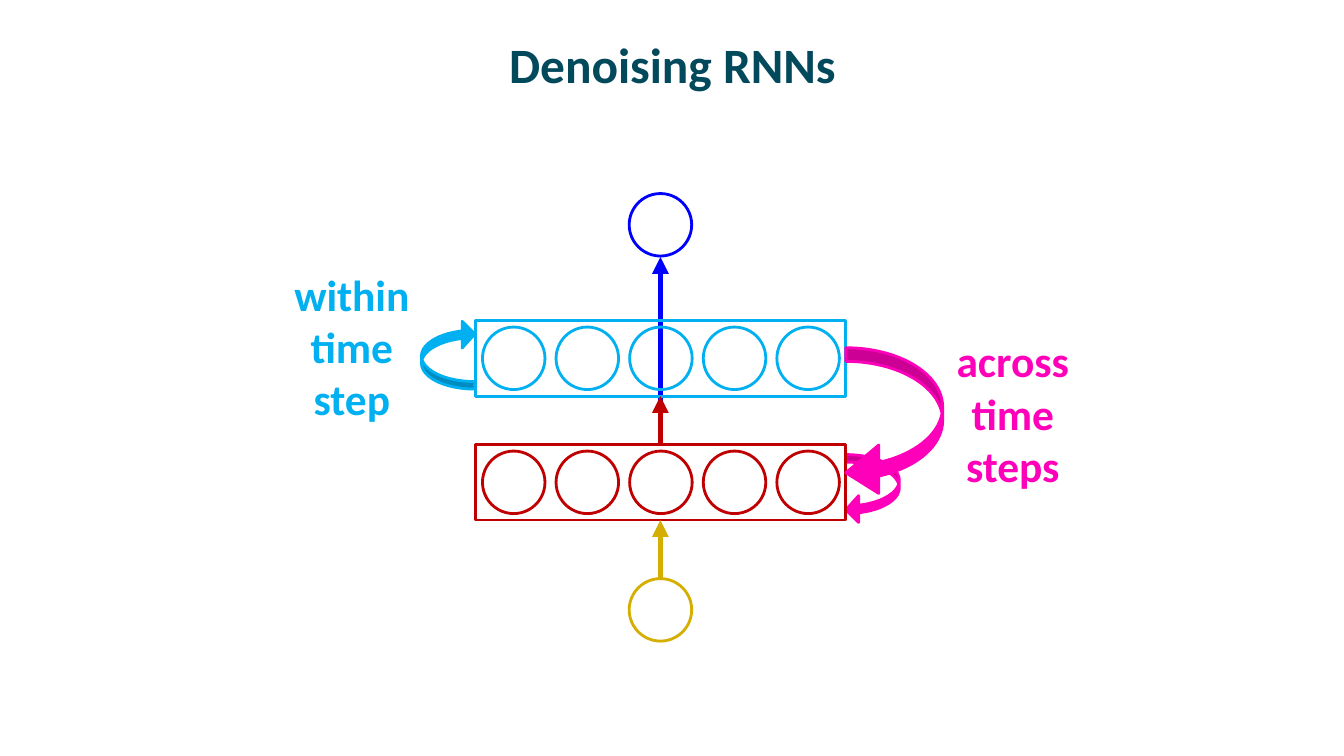
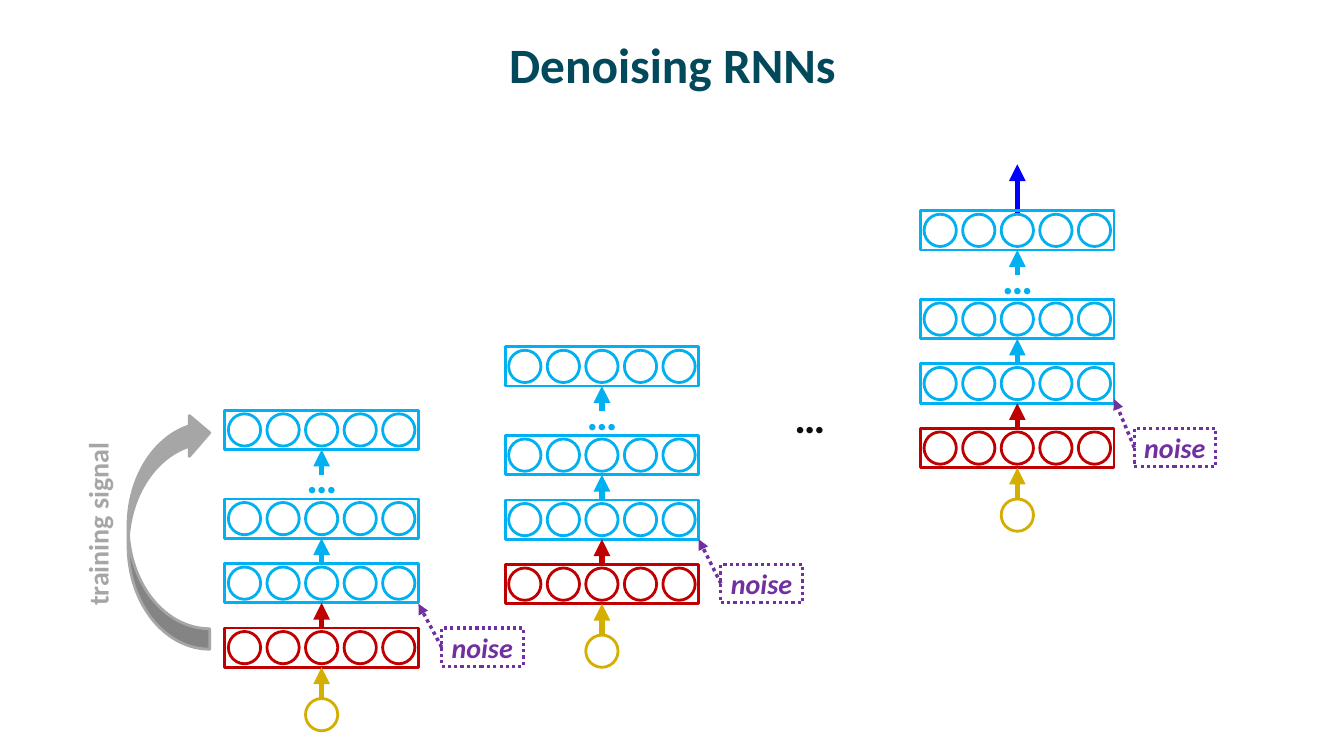
from dataclasses import dataclass

from lxml import etree
from pptx import Presentation
from pptx.dml.color import RGBColor
from pptx.enum.dml import MSO_LINE
from pptx.enum.shapes import MSO_CONNECTOR, MSO_SHAPE
from pptx.enum.text import MSO_ANCHOR, PP_ALIGN
from pptx.oxml.ns import qn
from pptx.util import Inches, Pt

RECT, OVAL = MSO_SHAPE.RECTANGLE, MSO_SHAPE.OVAL
LEFT_CURVE, RIGHT_CURVE = MSO_SHAPE.CURVED_LEFT_ARROW, MSO_SHAPE.CURVED_RIGHT_ARROW
STRAIGHT, DOTTED = MSO_CONNECTOR.STRAIGHT, MSO_LINE.ROUND_DOT
LEFT, CENTER = PP_ALIGN.LEFT, PP_ALIGN.CENTER
TOP, MIDDLE = MSO_ANCHOR.TOP, MSO_ANCHOR.MIDDLE


@dataclass(frozen=True)
class Theme:
    font: str = "Calibri"
    title: str = "03495C"
    output: str = "0000FF"
    hidden: str = "00B0F0"
    first: str = "C00000"
    source: str = "D4AE00"
    across: str = "FF00BA"
    noise: str = "7030A0"
    signal: str = "A6A6A6"
    dark: str = "0D0D0D"
    title_size: float = 35.3
    label_size: float = 31
    small_size: float = 20
    outline: float = 2
    arrow: float = 4


class Sketch:
    """Draws network diagrams on the current page in one style."""

    def __init__(self, theme):
        self.theme = theme
        self.deck = Presentation()
        self.deck.slide_width, self.deck.slide_height = Inches(13.33), Inches(7.5)
        self.page = None

    def new_page(self, title):
        self.page = self.deck.slides.add_slide(self.deck.slide_layouts[6])
        self.text([title], 0.67, 0.17, 12, 0.92, self.theme.title,
                  self.theme.title_size, anchor=MIDDLE, wrap=True)

    def fill_text(self, box, lines, color, size, align, anchor=TOP,
                  wrap=False, italic=None, margins=(0.1, 0.05)):
        frame = box.text_frame
        frame.word_wrap, frame.vertical_anchor = wrap, anchor
        frame.margin_left = frame.margin_right = Inches(margins[0])
        frame.margin_top = frame.margin_bottom = Inches(margins[1])
        for index, line in enumerate(lines):
            para = frame.paragraphs[0] if index == 0 else frame.add_paragraph()
            para.text, para.alignment = line, align
            font = para.font
            font.name, font.size = self.theme.font, Pt(size)
            font.bold, font.italic = True, italic
            font.color.rgb = RGBColor.from_string(color)

    def text(self, lines, left, top, width, height, color, size,
             align=CENTER, rotation=0, **options):
        box = self.page.shapes.add_textbox(
            Inches(left), Inches(top), Inches(width), Inches(height))
        box.rotation = rotation
        self.fill_text(box, lines, color, size, align, **options)

    def shape(self, kind, left, top, width, height, color, filled=False):
        shape = self.page.shapes.add_shape(
            kind, Inches(left), Inches(top), Inches(width), Inches(height))
        shape.shadow.inherit = False
        if filled:
            shape.fill.solid()
            shape.fill.fore_color.rgb = RGBColor.from_string(color)
        else:
            shape.fill.background()
        shape.line.color.rgb = RGBColor.from_string(color)
        shape.line.width = Pt(self.theme.outline)
        return shape

    def circle(self, left, top, diameter, color):
        self.shape(OVAL, left, top, diameter, diameter, color)

    def layer(self, left, top, width, height, diameter, color, units=5):
        pad = (height - diameter) / 2
        pitch = (width - 2 * pad - diameter) / (units - 1)
        for unit in range(units):
            self.circle(left + pad + unit * pitch, top + pad, diameter, color)
        self.shape(RECT, left, top, width, height, color)

    def curve(self, kind, left, top, width, height, color,
              adjustments=(), rotation=0, mirrored=False):
        shape = self.shape(kind, left, top, width, height, color, filled=True)
        for index, value in enumerate(adjustments):
            shape.adjustments[index] = value
        shape.rotation = rotation
        if mirrored:
            shape.element.spPr.find(qn("a:xfrm")).set("flipH", "1")

    def arrow(self, x1, y1, x2, y2, color, weight=None, dash=None):
        connector = self.page.shapes.add_connector(
            STRAIGHT, Inches(x1), Inches(y1), Inches(x2), Inches(y2))
        connector.line.color.rgb = RGBColor.from_string(color)
        connector.line.width = Pt(weight or self.theme.arrow)
        if dash:
            connector.line.dash_style = dash
        properties = connector.element.spPr
        etree.SubElement(properties.find(qn("a:ln")), qn("a:tailEnd"), type="triangle")
        etree.SubElement(properties, qn("a:effectLst"))

    def stack(self, left, top):
        """One unrolled time step; top is the top of its lowest layer."""
        theme, axis = self.theme, left + 0.96
        height, diameter = 0.39, 0.32
        self.circle(axis - diameter / 2, top + 0.7, diameter, theme.source)
        for rise, color in ((0, theme.first), (0.64, theme.hidden),
                            (1.28, theme.hidden), (2.16, theme.hidden)):
            self.layer(left, top - rise, 1.92, height, diameter, color)
        for start, end, color in ((0.7, 0.39, theme.source), (0, -0.25, theme.first),
                                  (-0.64, -0.89, theme.hidden),
                                  (-1.52, -1.77, theme.hidden)):
            self.arrow(axis, top + start, axis, top + end, color)
        self.dots(left + 0.71, top - 1.81, theme.hidden)

    def dots(self, left, top, color):
        self.text(["…"], left, top, 0.51, 0.62, color, self.theme.label_size, LEFT)

    def noise(self, left, top, tip_x, tip_y):
        color = self.theme.noise
        box = self.shape(RECT, left, top, 0.81, 0.38, color)
        box.line.width, box.line.dash_style = Pt(2.25), DOTTED
        self.fill_text(box, ["noise"], color, self.theme.small_size, LEFT,
                       italic=True, margins=(0.1, 0.02))
        self.arrow(left, top + 0.19, tip_x, tip_y, color, 2.5, DOTTED)


theme = Theme()
sketch = Sketch(theme)

# Page 1: recurrent network with noise within and across time steps
sketch.new_page("Denoising RNNs")
axis, diameter = 6.55, 0.62
small_curve = (0.141, 0.5, 0.238)
sketch.arrow(axis, 4.41, axis, 2.55, theme.output)
sketch.curve(LEFT_CURVE, 8.39, 4.51, 0.53, 0.68, theme.across, small_curve)
for top, color in ((5.74, theme.source), (1.92, theme.output)):
    sketch.circle(axis - diameter / 2, top, diameter, color)
for top, color in ((4.41, theme.first), (3.18, theme.hidden)):
    sketch.layer(4.72, top, 3.67, 0.75, diameter, color)
sketch.arrow(axis, 5.74, axis, 5.16, theme.source)
sketch.curve(LEFT_CURVE, 8.39, 3.45, 0.96, 1.48, theme.across, (0.141, 0.5, 0.339))
sketch.curve(LEFT_CURVE, 4.18, 3.18, 0.53, 0.68, theme.hidden, small_curve, rotation=180)
sketch.text(["within", "time", "step"], 2.81, 2.61, 1.36, 1.67,
            theme.hidden, theme.label_size)
sketch.text(["across", "time", "steps"], 9.38, 3.27, 1.33, 1.67,
            theme.across, theme.label_size)
sketch.arrow(axis, 4.41, axis, 3.93, theme.first)

# Page 2: network unrolled over time, with noise at each step
sketch.new_page("Denoising RNNs")
sketch.arrow(10.09, 2.11, 10.09, 1.63, theme.output)
steps = ((2.23, 6.23, 4.38, 5.99), (5.01, 5.6, 7.15, 5.35), (9.13, 4.25, 11.25, 3.96))
for left, top, noise_left, tip_y in steps:
    sketch.stack(left, top)
    sketch.noise(noise_left, top, left + 1.92, tip_y)
sketch.dots(7.78, 3.82, theme.dark)

# Training signal from the lowest layer to the highest
sketch.curve(RIGHT_CURVE, 1.27, 4.09, 0.81, 2.35, theme.signal,
             rotation=180, mirrored=True)
sketch.text(["training signal"], 0.05, 4.97, 1.84, 0.44, theme.signal,
            theme.small_size, LEFT, rotation=270)

sketch.deck.save("out.pptx")
